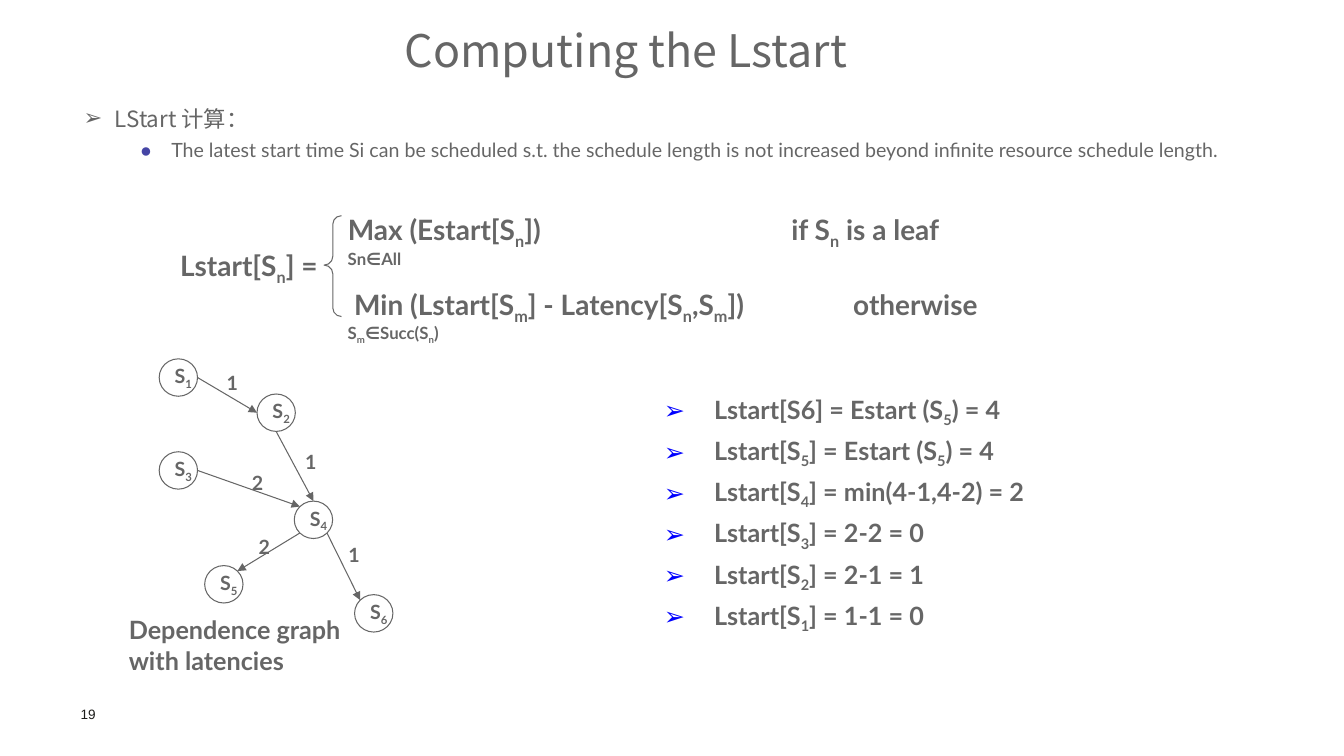
from math import cos, radians, sin

from lxml.etree import SubElement
from pptx import Presentation
from pptx.dml.color import RGBColor
from pptx.enum.shapes import MSO_CONNECTOR as Connector, MSO_SHAPE as Shape
from pptx.enum.text import MSO_ANCHOR as Anchor, MSO_AUTO_SIZE as AutoSize, PP_ALIGN as Align
from pptx.oxml.ns import qn
from pptx.util import Inches, Pt

GRAY, DARK, INDIGO, BLUE = "666666", "1D1D1B", "4545A5", "0000FF"
SANS, LATO = "Noto Sans CJK SC", "Lato"


def color(hex_string):
    return RGBColor.from_string(hex_string)


def part(box, x, y, w, h):
    """Box inside a region, given in percent of the region's size."""
    left, top, width, height = box
    return (left + width * x / 100, top + height * y / 100,
            width * w / 100, height * h / 100)


def inches(box):
    return [Inches(v) for v in box]


def write(p, text, size, font=LATO, hex_color=GRAY, bold=True):
    """Fill a paragraph; the letter after each underscore is a subscript."""
    head, *rest = text.split("_")
    pieces = [(head, False)]
    for piece in rest:
        pieces += [(piece[0], True), (piece[1:], False)]
    for content, is_sub in pieces:
        if not content:
            continue
        r = p.add_run()
        r.text = content
        r.font.size, r.font.name, r.font.bold = Pt(size), font, bold
        r.font.color.rgb = color(hex_color)
        rPr = r._r.get_or_add_rPr()
        SubElement(rPr, qn("a:ea"), typeface=font)
        if is_sub:
            rPr.set("baseline", "-25000")


def bullet(p, char, hex_color, margin, hanging):
    pPr = p._p.get_or_add_pPr()
    pPr.set("marL", str(Inches(margin)))
    pPr.set("indent", str(-Inches(hanging)))
    SubElement(SubElement(pPr, qn("a:buClr")), qn("a:srgbClr"), val=hex_color)
    SubElement(pPr, qn("a:buFont"), typeface="Arial")
    SubElement(pPr, qn("a:buChar"), char=char)


def clear_insets(tf):
    tf.margin_left = tf.margin_right = tf.margin_top = tf.margin_bottom = 0


def add_text(slide, box, text, size, **style):
    tf = slide.shapes.add_textbox(*inches(box)).text_frame
    tf.word_wrap = True
    write(tf.paragraphs[0], text, size, **style)
    return tf


def add_outline(slide, kind, box):
    sp = slide.shapes.add_shape(kind, *inches(box))
    sp.shadow.inherit = False
    sp.fill.background()
    sp.line.color.rgb = color(GRAY)
    sp.line.width = Pt(0.75)
    return sp


def place(sp, box):
    """Move a placeholder and reset its text frame."""
    sp.left, sp.top, sp.width, sp.height = inches(box)
    tf = sp.text_frame
    clear_insets(tf)
    tf.auto_size = AutoSize.NONE
    tf.vertical_anchor = Anchor.TOP
    return tf


def title(slide, box):
    p = place(slide.shapes.title, box).paragraphs[0]
    p.alignment = Align.CENTER
    p.line_spacing = Pt(34.3)
    write(p, "Computing the Lstart", 32, SANS, bold=False)


def definition(slide, box):
    tf = place(slide.placeholders[1], box)
    p = tf.paragraphs[0]
    p.space_before = Pt(0)
    bullet(p, "➢", GRAY, 0.33, 0.31)
    write(p, "LStart 计算：", 16, SANS, bold=False)
    p = tf.add_paragraph()
    p.level = 1
    p.line_spacing, p.space_before = 0.9, Pt(6.5)
    bullet(p, "●", INDIGO, 0.89, 0.31)
    write(p, "The latest start time Si can be scheduled s.t. the schedule length is "
             "not increased beyond infinite resource schedule length.", 14, bold=False)


def formula(slide, box):
    # Text, size, left, top, width
    terms = [
        ("Lstart[S_n] =", 20, 0, 26.7, 18.7),
        ("Max (Estart[S_n])", 20, 18.4, 0, 45),
        ("if S_n is a leaf", 20, 67.1, 0, 25),
        ("Sn∈All", 12, 18.4, 26.7, 25),
        ("Min (Lstart[S_m] - Latency[S_n,S_m])", 20, 19.1, 55.2, 48),
        ("otherwise", 20, 73.9, 55.2, 25),
        ("S_m∈Succ(S_n)", 12, 18.4, 80.7, 25),
    ]
    for text, size, x, y, w in terms:
        add_text(slide, part(box, x, y, w, 1.6 * size), text, size)
    brace = add_outline(slide, Shape.LEFT_BRACE, part(box, 16.9, 5.9, 1.9, 74.1))
    brace.adjustments[0], brace.adjustments[1] = 0.5, 0.49


def rim(node, angle):
    """Point on a node's outline, counter-clockwise from the right."""
    x, y, w, h = node
    a = radians(angle)
    return x + w / 2 * (1 + cos(a)), y + h / 2 * (1 - sin(a))


def dependence_graph(slide, box):
    corners = {1: (14.7, 0), 2: (50.4, 10.9), 3: (14.7, 28.8),
               4: (64, 44.1), 5: (31.3, 64.1), 6: (86, 73.1)}
    nodes = {n: part(box, x, y, 14, 11.6) for n, (x, y) in corners.items()}
    for n, node in nodes.items():
        tf = add_outline(slide, Shape.OVAL, node).text_frame
        tf.word_wrap = False
        tf.vertical_anchor = Anchor.MIDDLE
        tf.paragraphs[0].alignment = Align.LEFT
        write(tf.paragraphs[0], f"S_{n}", 14)

    # Start node and angle, end node and angle, latency and its place
    edges = [
        (1, 0, 2, 180, "1", 35.7, 2.2),
        (2, 270, 4, 90, "1", 64.3, 26.6),
        (3, 0, 4, 135, "2", 44.9, 33.1),
        (4, 225, 5, 45, "2", 47.4, 53.1),
        (4, 315, 6, 135, "1", 80.1, 55.6),
    ]
    for start, out_angle, end, in_angle, latency, x, y in edges:
        ends = rim(nodes[start], out_angle) + rim(nodes[end], in_angle)
        line = slide.shapes.add_connector(Connector.STRAIGHT, *inches(ends))
        line.line.color.rgb = color(GRAY)
        line.line.width = Pt(0.75)
        SubElement(line.line._get_or_add_ln(), qn("a:tailEnd"), type="triangle")
        SubElement(line._element.spPr, qn("a:effectLst"))
        add_text(slide, part(box, x, y, 11.8, 10.6), latency, 14)

    add_text(slide, part(box, 0, 77.8, 92.3, 22.2), "Dependence graph with latencies", 18)


def results(slide, box):
    lines = ["Lstart[S6] = Estart (S_5) = 4", "Lstart[S_5] = Estart (S_5) = 4",
             "Lstart[S_4] = min(4-1,4-2) = 2", "Lstart[S_3] = 2-2 = 0",
             "Lstart[S_2] = 2-1 = 1", "Lstart[S_1] = 1-1 = 0"]
    tf = add_text(slide, box, lines[0], 18)
    for text in lines[1:]:
        write(tf.add_paragraph(), text, 18)
    for p in tf.paragraphs:
        p.line_spacing = 1.2
        bullet(p, "➢", BLUE, 0.5, 0.5)


def page_number(slide, box):
    clear_insets(add_text(slide, box, "19", 9.7, font="Arial", hex_color=DARK, bold=False))


def main():
    prs = Presentation()
    prs.slide_width, prs.slide_height = Inches(13.34), Inches(7.5)
    slide = prs.slides.add_slide(prs.slide_layouts[1])
    title(slide, (0.34, 0.28, 11.75, 0.72))
    definition(slide, (0.81, 1.04, 11.74, 0.8))
    formula(slide, (1.69, 2.06, 9.04, 1.35))
    dependence_graph(slide, (1.18, 3.56, 2.72, 3.2))
    results(slide, (6.49, 3.79, 4.35, 2.28))
    page_number(slide, (0.8, 7, 0.55, 0.16))
    prs.save("out.pptx")


if __name__ == "__main__":
    main()
